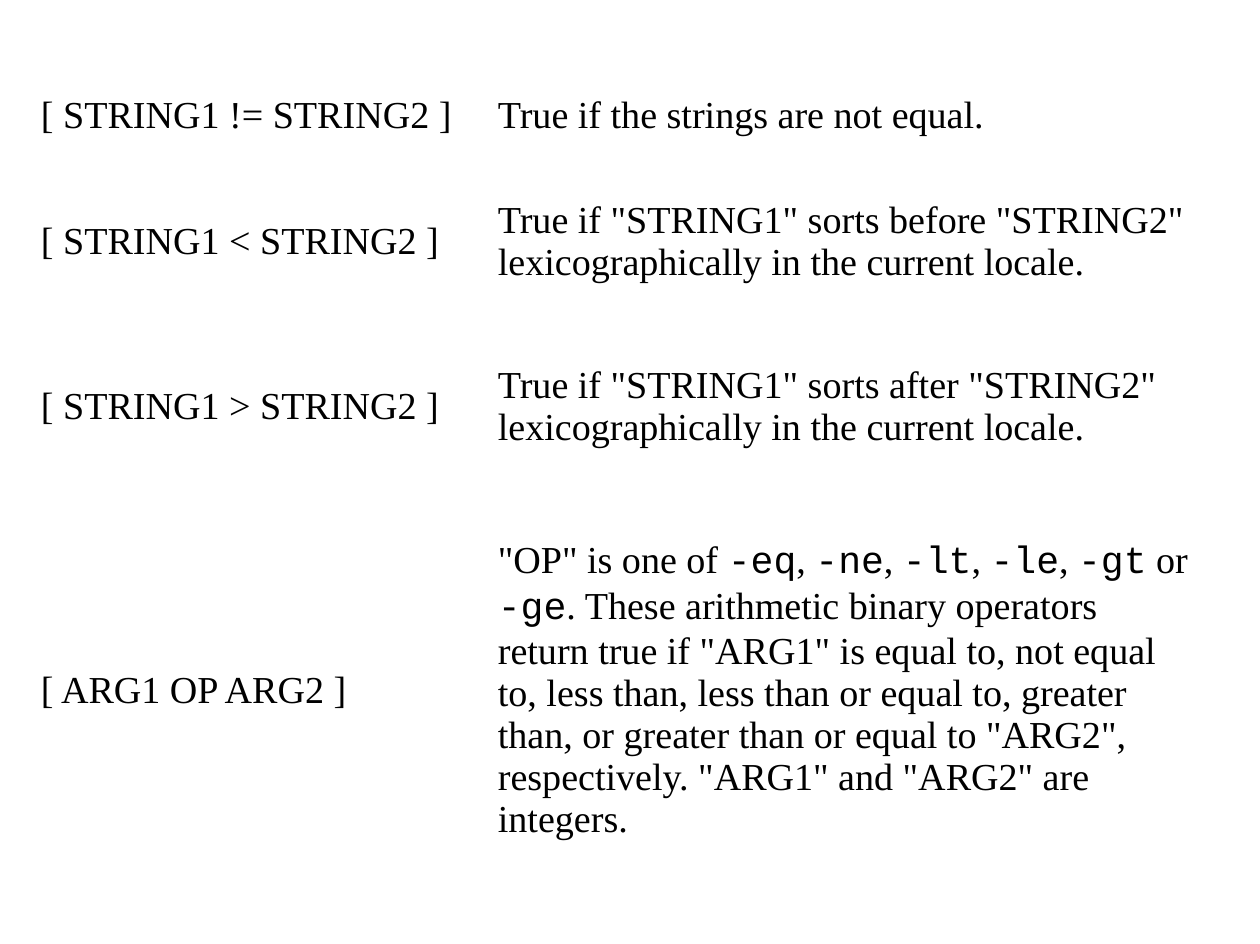
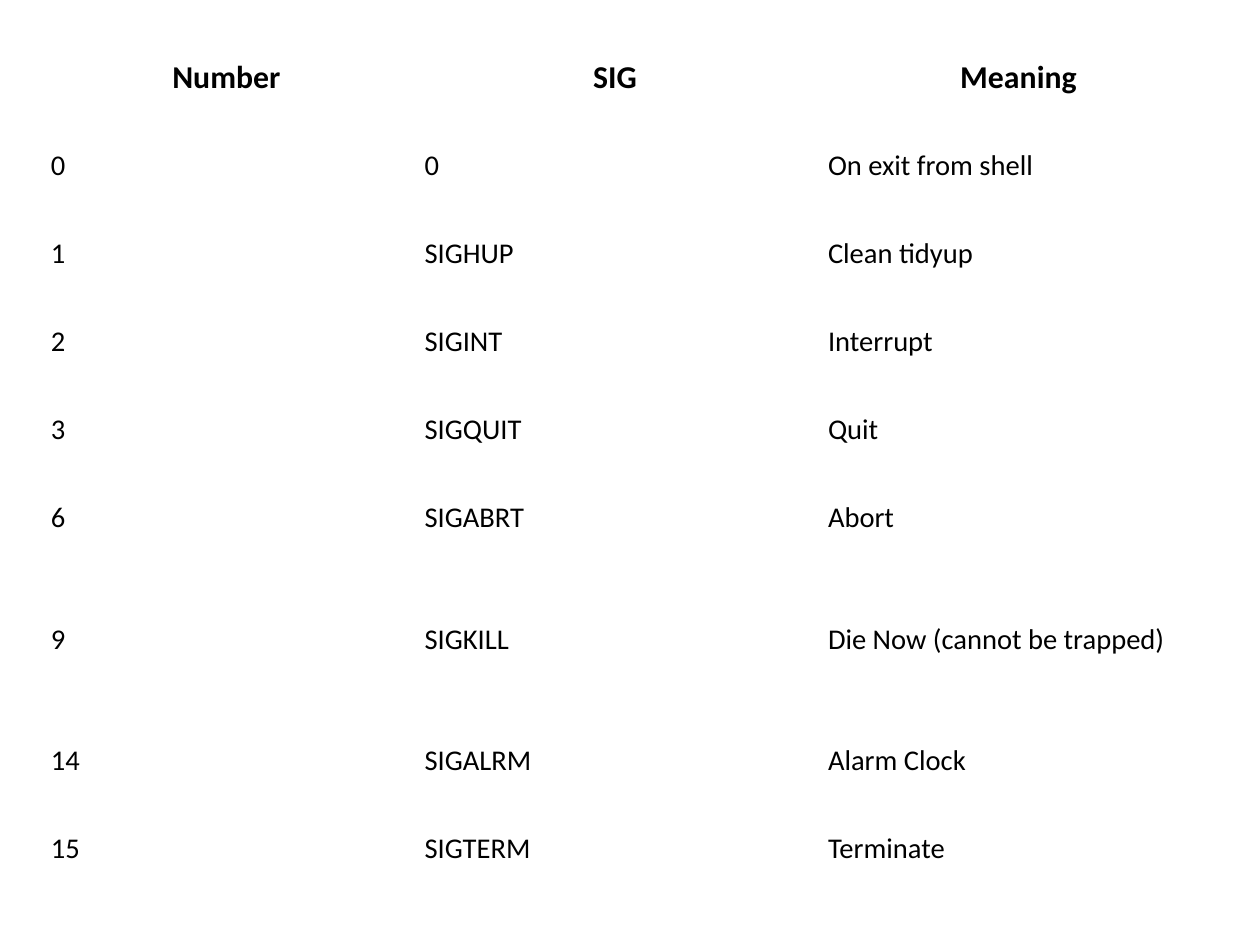
import dataclasses

import pptx
import pptx.dml.color
import pptx.enum.text
import pptx.slide
import pptx.table
import pptx.util

Cm = pptx.util.Cm
Pt = pptx.util.Pt
ALIGN = pptx.enum.text.PP_ALIGN

# Shared look
HUES = {"paper": "FFFFFF", "ink": "000000"}
SIZE = (6353, 4760)  # page width and height, 576 steps to the inch
STEPS = 576
LEFT = 0.88
CODE = "Courier New"
MARK = "`"  # wraps code words inside a text


@dataclasses.dataclass(frozen=True)
class Style:
    font: str
    size: int
    bold: bool = False
    align: ALIGN = ALIGN.LEFT


@dataclasses.dataclass(frozen=True)
class Grid:
    top: float
    cols: list[float]
    rows: list[float]
    pad: tuple[float, float]  # side and top/bottom margins
    body: Style
    head: Style | None
    text: list[tuple[str, ...]]


# Slide contents
TESTS = Grid(
    top=1.6,
    cols=[10.16, 15.44],
    rows=[1.93, 3.68, 3.68, 8.93],
    pad=(0.03, 0.03),
    body=Style("Times New Roman", 24),
    head=None,
    text=[
        ("[ STRING1 != STRING2 ]", "True if the strings are not equal."),
        ("[ STRING1 < STRING2 ]",
         'True if "STRING1" sorts before "STRING2" '
         "lexicographically in the current locale."),
        ("[ STRING1 > STRING2 ]",
         'True if "STRING1" sorts after "STRING2" '
         "lexicographically in the current locale."),
        ("[ ARG1 OP ARG2 ]",
         '"OP" is one of `-eq`, `-ne`, `-lt`, `-le`, `-gt` or `-ge`. '
         'These arithmetic binary operators return true if "ARG1" is equal to, '
         "not equal to, less than, less than or equal to, greater than, or "
         'greater than or equal to "ARG2", respectively. '
         '"ARG1" and "ARG2" are integers.'),
    ],
)

SIGNALS = Grid(
    top=0.74,
    cols=[8.31, 8.97, 8.97],
    rows=[1.96] * 6 + [3.43] + [1.96] * 2,
    pad=(0.25, 0.13),
    body=Style("Calibri", 18),
    head=Style("Calibri", 20, True, ALIGN.CENTER),
    text=[
        ("Number", "SIG", "Meaning"),
        ("0", "0", "On exit from shell"),
        ("1", "SIGHUP", "Clean tidyup"),
        ("2", "SIGINT", "Interrupt"),
        ("3", "SIGQUIT", "Quit"),
        ("6", "SIGABRT", "Abort"),
        ("9", "SIGKILL", "Die Now (cannot be trapped)"),
        ("14", "SIGALRM", "Alarm Clock"),
        ("15", "SIGTERM", "Terminate"),
    ],
)


def hue(name: str) -> pptx.dml.color.RGBColor:
    return pptx.dml.color.RGBColor.from_string(HUES[name])


def put(item: object, form: dict[str, object]) -> None:
    """Set every format value on the item."""
    for key, val in form.items():
        setattr(item, key, val)


def write(cell: pptx.table._Cell, text: str, style: Style,
          pad: tuple[float, float]) -> None:
    side, edge = map(Cm, pad)
    put(cell, {
        "margin_left": side, "margin_right": side,
        "margin_top": edge, "margin_bottom": edge,
        "vertical_anchor": pptx.enum.text.MSO_ANCHOR.MIDDLE,
    })
    cell.fill.background()
    para = cell.text_frame.paragraphs[0]
    para.alignment = style.align
    # Every second part is code
    for num, part in enumerate(text.split(MARK)):
        run = para.add_run()
        run.text = part
        put(run.font, {"name": CODE if num % 2 else style.font,
                       "size": Pt(style.size), "bold": style.bold})
        run.font.color.rgb = hue("ink")


def draw(slide: pptx.slide.Slide, grid: Grid) -> None:
    frame = slide.shapes.add_table(
        len(grid.rows), len(grid.cols), Cm(LEFT), Cm(grid.top),
        Cm(sum(grid.cols)), Cm(sum(grid.rows)))
    table = frame.table
    put(table, {"first_row": grid.head is not None, "horz_banding": False})
    for col, width in zip(table.columns, grid.cols):
        col.width = Cm(width)
    for row, high in zip(table.rows, grid.rows):
        row.height = Cm(high)
    for r, line in enumerate(grid.text):
        style = grid.head if grid.head and r == 0 else grid.body
        for c, text in enumerate(line):
            write(table.cell(r, c), text, style, grid.pad)


def main() -> None:
    deck = pptx.Presentation()
    wide, high = (round(Cm(2.54) * side / STEPS) for side in SIZE)
    put(deck, {"slide_width": wide, "slide_height": high})
    for grid in (TESTS, SIGNALS):
        slide = deck.slides.add_slide(deck.slide_layouts[6])
        fill = slide.background.fill
        fill.solid()
        fill.fore_color.rgb = hue("paper")
        draw(slide, grid)
    deck.save("out.pptx")


if __name__ == "__main__":
    main()
